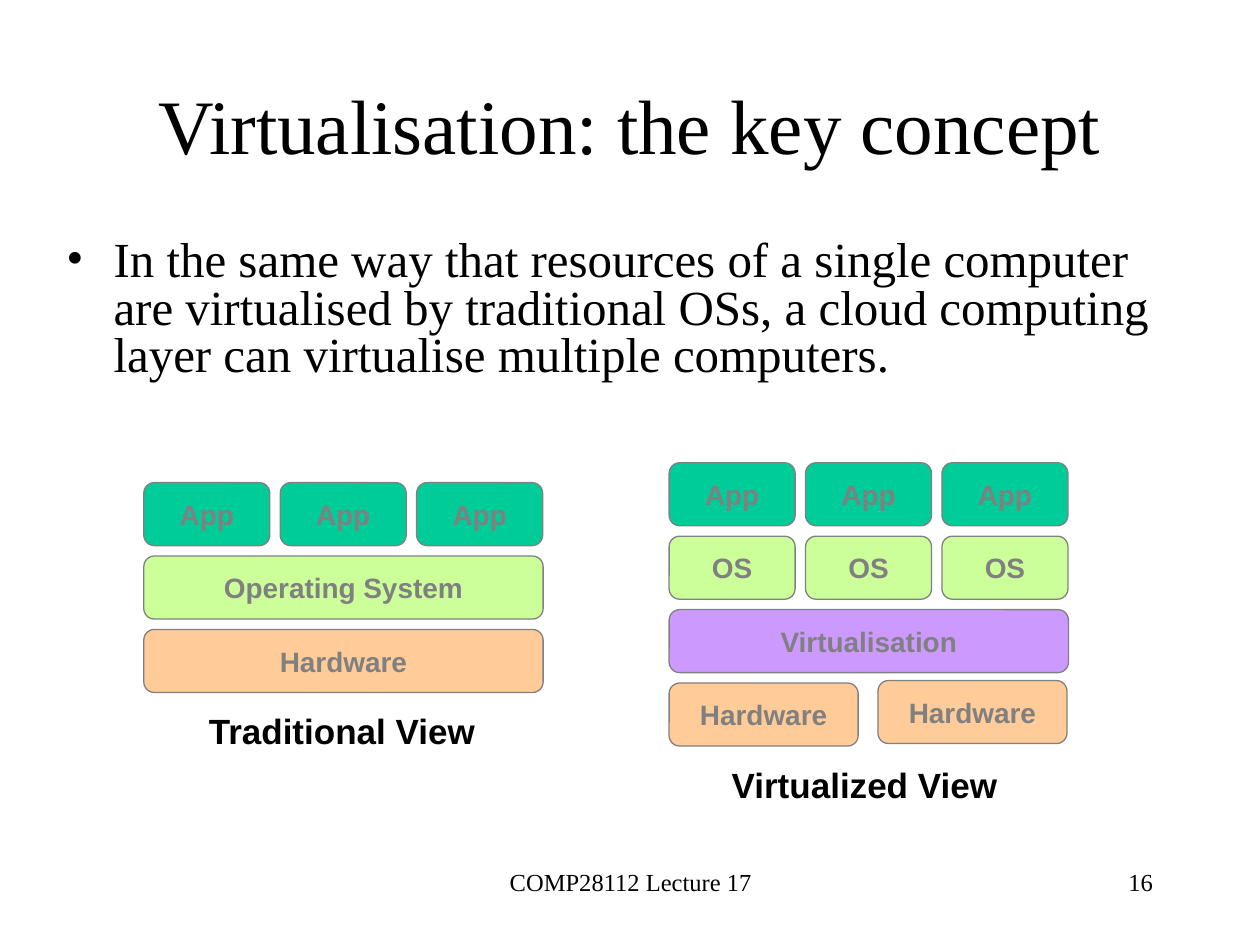
from lxml import etree
from pptx import Presentation
from pptx.dml.color import RGBColor
from pptx.enum.shapes import MSO_SHAPE
from pptx.enum.text import MSO_ANCHOR, PP_ALIGN
from pptx.oxml.ns import qn
from pptx.util import Cm, Pt

ROUNDED = MSO_SHAPE.ROUNDED_RECTANGLE
TOP, MIDDLE = MSO_ANCHOR.TOP, MSO_ANCHOR.MIDDLE
LEFT, CENTER, RIGHT = PP_ALIGN.LEFT, PP_ALIGN.CENTER, PP_ALIGN.RIGHT

BLACK = RGBColor(0x00, 0x00, 0x00)
GRAY = RGBColor(0x80, 0x80, 0x80)
TEAL = RGBColor(0x00, 0xCC, 0x99)
LIME = RGBColor(0xCC, 0xFF, 0x99)
PEACH = RGBColor(0xFF, 0xCC, 0x99)
VIOLET = RGBColor(0xCC, 0x99, 0xFF)

SERIF, SANS = "Times New Roman", "Arial"
TITLE = {"name": SERIF, "size": Pt(44), "color": BLACK}
BODY = {"name": SERIF, "size": Pt(28), "color": BLACK}
FOOTER = {"name": SERIF, "size": Pt(14), "color": BLACK}
LABEL = {"name": SANS, "size": Pt(16), "bold": True, "color": GRAY}
CAPTION = {"name": SANS, "size": Pt(20), "bold": True, "color": BLACK}


def write(box, text, style, align, anchor=TOP, wrap=True):
    frame = box.text_frame
    frame.word_wrap = wrap
    frame.vertical_anchor = anchor
    para = frame.paragraphs[0]
    para.alignment = align
    span = para.add_run()
    span.text = text
    for key, value in style.items():
        if key == "color":
            span.font.color.rgb = value
        else:
            setattr(span.font, key, value)
    return para


deck = Presentation()
deck.slide_width, deck.slide_height = Cm(25.4), Cm(19.05)
page = deck.slides.add_slide(deck.slide_layouts[6])

# Title, footer, slide number and captions
texts = [
    ("COMP28112 Lecture 17", (8.69, 17.35, 8.05, 1.27), FOOTER, CENTER, TOP, True),
    ("16", (18.21, 17.35, 5.28, 1.27), FOOTER, RIGHT, TOP, True),
    ("Virtualisation: the key concept", (1.9, 0.91, 21.6, 3.18), TITLE, CENTER, MIDDLE, True),
    ("Traditional View", (3.96, 14.17, 5.92, 1.12), CAPTION, LEFT, TOP, False),
    ("Virtualized View", (14.5, 15.27, 5.9, 1.12), CAPTION, LEFT, TOP, False),
]
for text, place, style, align, anchor, wrap in texts:
    box = page.shapes.add_textbox(*map(Cm, place))
    write(box, text, style, align, anchor, wrap)

# Bullet text with a hanging indent
box = page.shapes.add_textbox(Cm(1.09), Cm(4.72), Cm(23.22), Cm(3.43))
para = write(
    box,
    "In the same way that resources of a single computer are virtualised by "
    "traditional OSs, a cloud computing layer can virtualise multiple computers.",
    BODY, LEFT)
para.line_spacing = 0.8
props = para._p.get_or_add_pPr()
props.set("marL", str(Cm(0.95)))
props.set("indent", str(-Cm(0.95)))
etree.SubElement(props, qn("a:buFont")).set("typeface", SERIF)
etree.SubElement(props, qn("a:buChar")).set("char", "•")

# Layer stacks: left, top, then rows of label, fill and number of blocks
stacks = [
    (2.9, 9.73, [("App", TEAL, 3), ("Operating System", LIME, 1), ("Hardware", PEACH, 1)]),
    (13.49, 9.33, [("App", TEAL, 3), ("OS", LIME, 3), ("Virtualisation", VIOLET, 1),
                   ("Hardware", PEACH, 2)]),
]
BLOCK_SIZES = {1: (8.05, 0), 2: (3.81, 4.21), 3: (2.54, 2.75)}  # width, pitch
BLOCK_HEIGHT, ROW_PITCH = 1.27, 1.48
SECOND_MACHINE_LIFT = 0.05

for left, top, rows in stacks:
    for row, (label, fill, count) in enumerate(rows):
        width, pitch = BLOCK_SIZES[count]
        for column in range(count):
            lift = SECOND_MACHINE_LIFT if count == 2 and column == 1 else 0
            block = page.shapes.add_shape(
                ROUNDED, Cm(left + column * pitch), Cm(top + row * ROW_PITCH - lift),
                Cm(width), Cm(BLOCK_HEIGHT))
            block.shadow.inherit = False
            block.fill.solid()
            block.fill.fore_color.rgb = fill
            block.line.color.rgb = GRAY
            block.line.width = Pt(0.75)
            write(block, label, LABEL, CENTER, MIDDLE)

deck.save("out.pptx")
